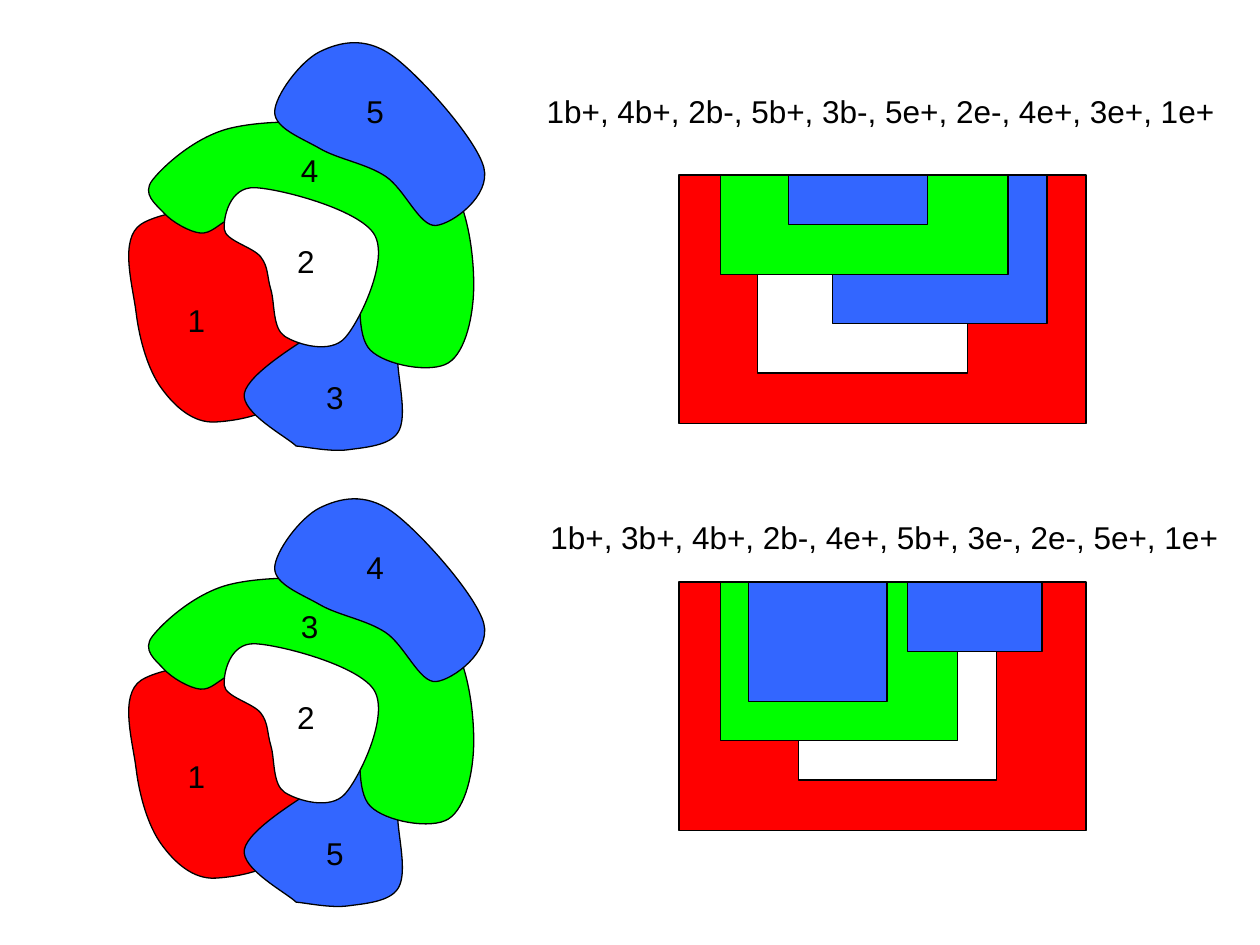
from typing import NamedTuple

from lxml import etree
from pptx import Presentation
from pptx import util as u
from pptx.dml import color
from pptx.enum import shapes, text
from pptx.oxml import ns

RED, GREEN, BLUE, WHITE, BLACK = "FF0000", "00FF00", "3366FF", "FFFFFF", "000000"
Point = tuple[float, float]


class Patch(NamedTuple):
    """A closed smooth outline through its anchors; the first may be a corner."""
    fill: str
    label_at: Point
    anchors: list[Point]
    corner: bool = False


class Bar(NamedTuple):
    """A rectangle that hangs from the top edge of its diagram."""
    fill: str
    left: float
    width: float
    height: float


class Example(NamedTuple):
    patch_dy: float
    numbers: str  # in the order of PATCHES
    sequence: str
    sequence_at: Point
    bars_top: float
    bars: list[Bar]


PATCHES = [
    Patch(RED, (1.39, 2.34), [
        (1.08, 2.48), (1.12, 1.78), (2.14, 1.78), (2.35, 3.02), (1.71, 3.35), (1.28, 3.08)]),
    Patch(BLUE, (2.49, 2.95), [
        (2.35, 3.54), (1.94, 3.12), (2.55, 2.61), (3.06, 2.4), (3.16, 2.92), (3.16, 3.43),
        (2.76, 3.57)], corner=True),
    Patch(GREEN, (2.29, 1.15), [
        (1.3, 1.69), (1.21, 1.43), (1.82, 1.02), (2.84, 1.02), (3.56, 1.43), (3.76, 2.26),
        (3.56, 2.88), (2.94, 2.78), (2.84, 2.16), (2.74, 1.78), (2.45, 1.65), (2.09, 1.63),
        (1.82, 1.74), (1.59, 1.85)]),
    Patch(WHITE, (2.26, 1.87), [
        (2.15, 2.3), (2.07, 2.04), (1.78, 1.82), (2.02, 1.49), (2.97, 1.86), (2.74, 2.68),
        (2.26, 2.67)]),
    Patch(BLUE, (2.81, 0.68), [
        (2.54, 1.18), (2.18, 0.89), (2.54, 0.41), (3.11, 0.44), (3.84, 1.33), (3.46, 1.79),
        (3.06, 1.4)]),
]

BASE = Bar(RED, 5.39, 3.23, 1.97)
EXAMPLES = [
    Example(0, "13425", "1b+, 4b+, 2b-, 5b+, 3b-, 5e+, 2e-, 4e+, 3e+, 1e+", (4.24, 0.68), 1.39, [
        BASE,
        Bar(WHITE, 6.01, 1.67, 1.57),
        Bar(BLUE, 6.61, 1.7, 1.18),
        Bar(GREEN, 5.72, 2.28, 0.79),
        Bar(BLUE, 6.26, 1.1, 0.39)]),
    Example(3.62, "15324", "1b+, 3b+, 4b+, 2b-, 4e+, 5b+, 3e-, 2e-, 5e+, 1e+", (4.27, 4.06), 4.62, [
        BASE,
        Bar(WHITE, 6.34, 1.57, 1.57),
        Bar(GREEN, 5.72, 1.88, 1.26),
        Bar(BLUE, 5.94, 1.1, 0.95),
        Bar(BLUE, 7.2, 1.07, 0.55)]),
]


def rgb(value: str) -> color.RGBColor:
    return color.RGBColor.from_string(value)


def style(sp, fill: str) -> None:
    sp.shadow.inherit = False
    sp.fill.solid()
    sp.fill.fore_color.rgb = rgb(fill)
    sp.line.color.rgb = rgb(BLACK)
    sp.line.width = u.Pt(0.75)


def add_bar(parent, bar: Bar, top: float) -> None:
    sp = parent.add_shape(shapes.MSO_SHAPE.RECTANGLE, u.Inches(bar.left), u.Inches(top),
                          u.Inches(bar.width), u.Inches(bar.height))
    style(sp, bar.fill)


def handle(at: Point, start: Point, end: Point) -> Point:
    """Return the control point a sixth of the way start-to-end away from an anchor."""
    return at[0] + (end[0] - start[0]) / 6, at[1] + (end[1] - start[1]) / 6


def curve_points(patch: Patch) -> list[Point]:
    """Return two handles and an end anchor for each curve of the outline."""
    points = []
    count = len(patch.anchors)
    for i in range(count):
        before, start, end, after = (patch.anchors[(i + k) % count] for k in (-1, 0, 1, 2))
        if patch.corner and i == 0:
            before = start
        if patch.corner and i == count - 1:
            after = end
        points += [handle(start, before, end), handle(end, after, start), end]
    return points


def add_patch(parent, patch: Patch, dy: float) -> None:
    """Draw the polygon of control points, then turn each three sides into a curve."""
    start, *rest = [(u.Inches(x), u.Inches(y + dy))
                    for x, y in [patch.anchors[0], *curve_points(patch)]]
    builder = parent.build_freeform(*start)
    builder.add_line_segments(rest, close=True)
    sp = builder.convert_to_shape()
    sides = iter(list(sp.element.iter(ns.qn("a:lnTo"))))
    for trio in zip(sides, sides, sides):
        curve = etree.Element(ns.qn("a:cubicBezTo"))
        trio[0].addprevious(curve)
        for side in trio:
            curve.append(side[0])
            side.getparent().remove(side)
    style(sp, patch.fill)


def add_label(parent, words: str, left: float, top: float, width: float) -> None:
    sp = parent.add_textbox(u.Inches(left), u.Inches(top), u.Inches(width), u.Inches(0.4))
    tf = sp.text_frame
    tf.word_wrap = False
    tf.auto_size = text.MSO_AUTO_SIZE.SHAPE_TO_FIT_TEXT
    r = tf.paragraphs[0].add_run()
    r.text = words
    r.font.name = "Arial"
    r.font.size = u.Pt(18)
    r.font.color.rgb = rgb(BLACK)


def add_example(s, example: Example) -> None:
    for bar in example.bars:
        add_bar(s.shapes, bar, example.bars_top)
    group = s.shapes.add_group_shape().shapes
    for patch in PATCHES:
        add_patch(group, patch, example.patch_dy)
    for patch, number in zip(PATCHES, example.numbers):
        left, top = patch.label_at
        add_label(group, number, left, top + example.patch_dy, 0.34)
    add_label(s.shapes, example.sequence, *example.sequence_at, 5.5)


def main() -> None:
    prs = Presentation()
    prs.slide_width, prs.slide_height = u.Inches(10), u.Inches(7.5)
    s = prs.slides.add_slide(prs.slide_layouts[6])
    for example in EXAMPLES:
        add_example(s, example)
    prs.save("out.pptx")


if __name__ == "__main__":
    main()
